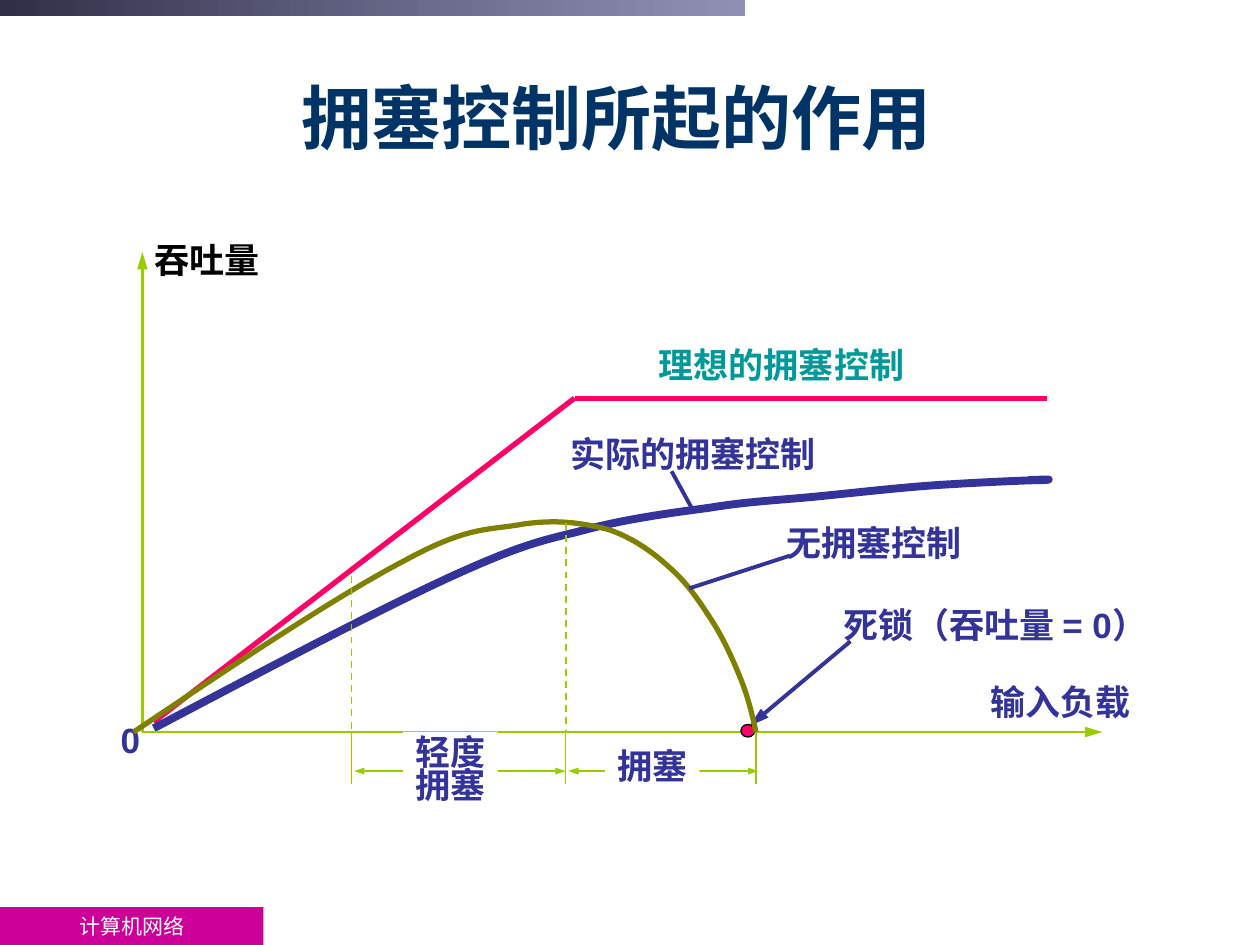
from collections import namedtuple

from lxml import etree
from pptx import Presentation
from pptx.dml.color import RGBColor
from pptx.enum.dml import MSO_LINE
from pptx.enum.shapes import MSO_CONNECTOR, MSO_SHAPE
from pptx.enum.text import MSO_ANCHOR, MSO_AUTO_SIZE, PP_ALIGN
from pptx.oxml.ns import qn
from pptx.util import Inches, Pt

NAVY = RGBColor(0x00, 0x33, 0x66)
INDIGO = RGBColor(0x33, 0x33, 0x99)
TEAL = RGBColor(0x00, 0x99, 0x99)
LIME = RGBColor(0x99, 0xCC, 0x00)
OLIVE = RGBColor(0x80, 0x80, 0x00)
ROSE = RGBColor(0xFF, 0x00, 0x66)
MAGENTA = RGBColor(0xCC, 0x00, 0x99)
BAND_DARK = RGBColor(0x2F, 0x2F, 0x47)
BAND_LIGHT = RGBColor(0x66, 0x66, 0x99)
BLACK = RGBColor(0x00, 0x00, 0x00)
WHITE = RGBColor(0xFF, 0xFF, 0xFF)

RECTANGLE, OVAL = MSO_SHAPE.RECTANGLE, MSO_SHAPE.OVAL
STRAIGHT = MSO_CONNECTOR.STRAIGHT
DASH = MSO_LINE.DASH
LEFT, CENTER = PP_ALIGN.LEFT, PP_ALIGN.CENTER
TOP, MIDDLE = MSO_ANCHOR.TOP, MSO_ANCHOR.MIDDLE
NO_FIT, GROW = MSO_AUTO_SIZE.NONE, MSO_AUTO_SIZE.SHAPE_TO_FIT_TEXT

Box = namedtuple("Box", "left top width height")

# Curves: a start point, then two control points and an end point per segment,
# in inches right of and above the origin of the axes
CONTROLLED_CURVE = [
    (0.09, 0.03),
    (1.02, 0.52), (1.95, 1.01), (2.53, 1.27),
    (3.11, 1.53), (3.24, 1.53), (3.57, 1.62),
    (3.90, 1.70), (4.20, 1.74), (4.50, 1.78),
    (4.80, 1.83), (5.05, 1.84), (5.36, 1.87),
    (5.66, 1.90), (6.01, 1.94), (6.31, 1.96),
    (6.61, 1.98), (7.04, 2.00), (7.16, 2.00),
    (7.28, 2.01), (7.05, 2.00), (7.03, 2.00),
]
UNCONTROLLED_CURVE = [
    (-0.07, 0),
    (0.75, 0.55), (1.56, 1.09), (2.08, 1.36),
    (2.59, 1.64), (2.75, 1.60), (3.02, 1.65),
    (3.29, 1.69), (3.49, 1.66), (3.69, 1.61),
    (3.88, 1.55), (4.05, 1.43), (4.18, 1.31),
    (4.32, 1.19), (4.42, 1.04), (4.51, 0.90),
    (4.61, 0.75), (4.69, 0.57), (4.75, 0.42),
    (4.81, 0.27), (4.84, 0.14), (4.87, 0),
]


def write_text(shape, text, size=20, color=INDIGO, bold=True, font="Arial",
               align=LEFT, anchor=TOP, wrap=False, fit=GROW, spacing=None):
    frame = shape.text_frame
    frame.text = text
    frame.word_wrap = wrap
    frame.auto_size = fit
    frame.vertical_anchor = anchor
    if not wrap:
        # Leave spare width so that a tight label stays on one line
        frame.margin_right = Inches(0.05)
    for paragraph in frame.paragraphs:
        paragraph.alignment = align
        paragraph.line_spacing = spacing
        for run in paragraph.runs:
            run.font.size = Pt(size)
            run.font.bold = bold
            run.font.name = font
            run.font.color.rgb = color


def add_filled(slide, kind, box, color):
    shape = slide.shapes.add_shape(kind, *box)
    shape.shadow.inherit = False
    shape.fill.solid()
    shape.fill.fore_color.rgb = color
    shape.line.fill.background()
    return shape


def add_line(slide, start, end, color, width, dash=None, head=False, tail=False):
    connector = slide.shapes.add_connector(STRAIGHT, *start, *end)
    connector.line.color.rgb = color
    connector.line.width = Pt(width)
    if dash:
        connector.line.dash_style = dash
    outline = connector.line._get_or_add_ln()
    arrow_size = {"len": "lg"} if width > 1 else {"w": "sm"}
    for tag, wanted in (("a:headEnd", head), ("a:tailEnd", tail)):
        if wanted:
            etree.SubElement(outline, qn(tag), type="triangle", **arrow_size)
    etree.SubElement(connector._element.spPr, qn("a:effectLst"))


def add_curve(slide, points, color, width):
    builder = slide.shapes.build_freeform(*points[0])
    builder.add_line_segments(points[1:], close=False)
    shape = builder.convert_to_shape()
    shape.shadow.inherit = False
    shape.fill.background()
    shape.line.color.rgb = color
    shape.line.width = Pt(width)
    # Turn each three straight segments into one Bezier segment
    outline = next(shape._element.iter(qn("a:path")))
    segments = outline.findall(qn("a:lnTo"))
    for first in range(0, len(segments), 3):
        bezier = etree.SubElement(outline, qn("a:cubicBezTo"))
        for segment in segments[first:first + 3]:
            bezier.append(segment[0])
            outline.remove(segment)


def draw_top_band(slide, box):
    band = add_filled(slide, RECTANGLE, box, BAND_DARK)
    band.fill.gradient()
    band.fill.gradient_angle = 0
    for stop, color in zip(band.fill.gradient_stops, (BAND_DARK, BAND_LIGHT)):
        stop.color.rgb = color
    light_stop = list(band._element.spPr.iter(qn("a:srgbClr")))[-1]
    etree.SubElement(light_stop, qn("a:alpha"), val="72000")


def draw_footer(slide, box):
    footer = add_filled(slide, RECTANGLE, box, MAGENTA)
    write_text(footer, "计算机网络", size=12, color=WHITE, bold=False,
               font="Times New Roman", align=CENTER, anchor=MIDDLE, wrap=True, fit=NO_FIT)


def draw_title(slide, box):
    title = slide.shapes.title
    title.left, title.top, title.width, title.height = box
    write_text(title, "拥塞控制所起的作用 ", size=40, color=NAVY,
               align=CENTER, anchor=MIDDLE, wrap=True, fit=NO_FIT)


def draw_throughput_plot(slide, box):
    def at(x, y):
        return box.left + Inches(x), box.top + box.height - Inches(y)

    def line(start, end, color, width, **ends):
        add_line(slide, at(*start), at(*end), color, width, **ends)

    def label(text, x, y, width, height=0.44, background=None, **text_format):
        area = Box(*at(x, y), Inches(width), Inches(height))
        if background is None:
            shape = slide.shapes.add_textbox(*area)
        else:
            shape = add_filled(slide, RECTANGLE, area, background)
        write_text(shape, text, **text_format)

    # Vertical axis and ideal control
    line((0, 0), (0, 3.81), LIME, 1.5, tail=True)
    label("输入负载", 6.63, 0.46, 1.31)
    label("吞吐量", 0, 3.97, 1.03, color=BLACK)
    line((0.09, 0.08), (3.43, 2.65), ROSE, 3)
    line((3.43, 2.65), (7.18, 2.65), ROSE, 3)
    label("理想的拥塞控制", 4, 3.13, 2.15, color=TEAL)

    # Actual control
    add_curve(slide, [at(*point) for point in CONTROLLED_CURVE], INDIGO, 4.5)
    label("实际的拥塞控制", 3.3, 2.43, 2.15)
    line((4.2, 2.07), (4.37, 1.76), INDIGO, 2.25)

    # Horizontal axis
    line((0, 0), (7.62, 0), LIME, 1.5, tail=True)
    label("0", -0.27, 0.16, 0.35)

    # Deadlock
    label("死锁（吞吐量 = 0）", 5.47, 1.07, 2.74)
    line((5.62, 0.72), (4.82, 0.05), INDIGO, 2.25, tail=True)
    dot = add_filled(slide, OVAL, Box(*at(4.75, 0.06), Inches(0.11), Inches(0.1)), ROSE)
    dot.line.color.rgb = BLACK
    dot.line.width = Pt(0.75)

    # No control
    add_curve(slide, [at(*point) for point in UNCONTROLLED_CURVE], OLIVE, 3)
    label("无拥塞控制", 5.01, 1.72, 1.59)
    line((5.14, 1.4), (4.34, 1.14), INDIGO, 2.25)

    # Load ranges below the axis
    for x, dashed_height in ((1.66, 1.24), (3.36, 1.66), (4.87, None)):
        if dashed_height:
            line((x, dashed_height), (x, 0), LIME, 1, dash=DASH)
        line((x, 0), (x, -0.41), LIME, 0.75)
    for start, end in ((1.68, 3.36), (3.38, 4.89)):
        line((start, -0.31), (end, -0.31), LIME, 0.75, head=True, tail=True)
    label("拥塞", 3.67, -0.05, 0.75, background=WHITE)
    label("轻度\n拥塞", 2.07, 0, 0.75, 0.64, background=WHITE, spacing=0.8)


def main():
    presentation = Presentation()
    presentation.slide_width, presentation.slide_height = Inches(10), Inches(7.5)
    slide = presentation.slides.add_slide(presentation.slide_layouts[5])
    draw_footer(slide, Box(0, Inches(7.2), Inches(2.09), Inches(0.3)))
    draw_top_band(slide, Box(0, 0, Inches(5.91), Inches(0.12)))
    draw_title(slide, Box(Inches(1.53), Inches(0.52), Inches(6.85), Inches(0.81)))
    draw_throughput_plot(slide, Box(Inches(1.13), Inches(2), Inches(7.62), Inches(3.81)))
    presentation.save("out.pptx")


if __name__ == "__main__":
    main()
